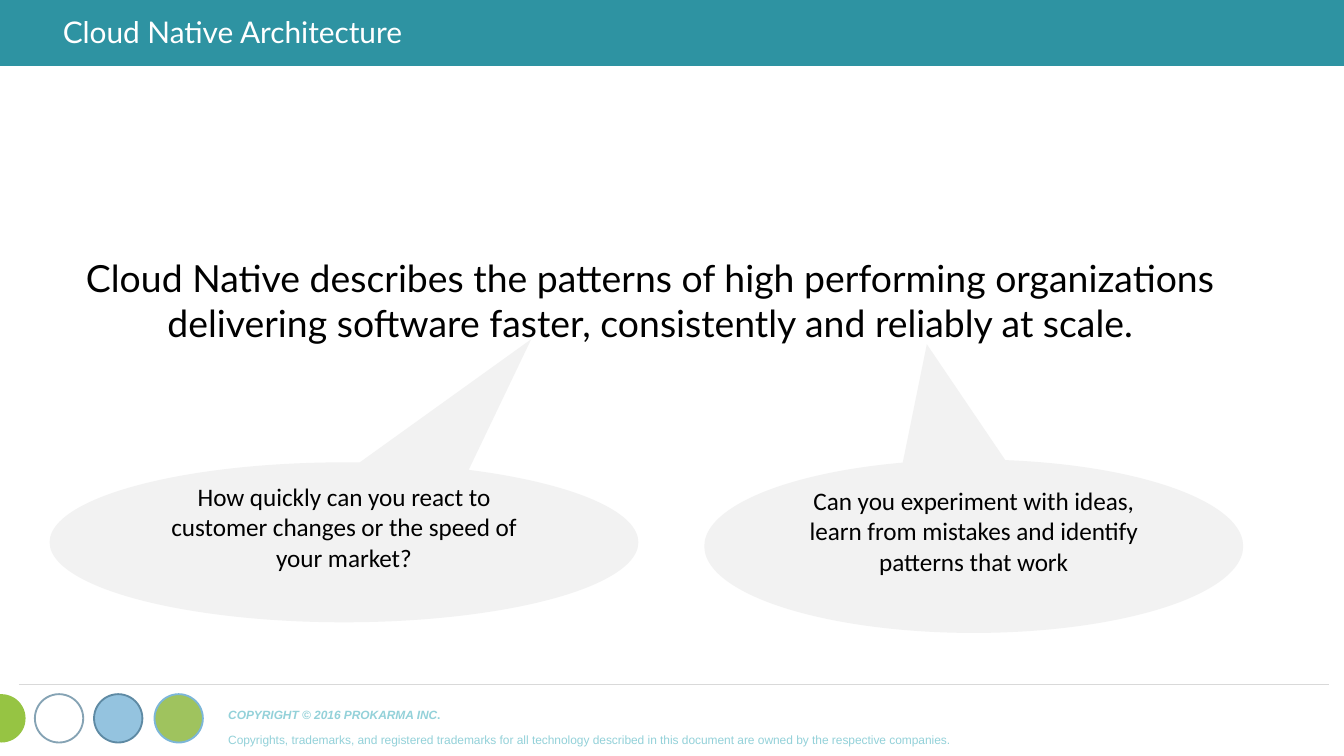
from lxml.etree import SubElement
from pptx import Presentation
from pptx.dml.color import RGBColor
from pptx.enum.shapes import MSO_CONNECTOR, MSO_SHAPE
from pptx.enum.text import MSO_ANCHOR, PP_ALIGN
from pptx.oxml.ns import qn
from pptx.util import Pt

TEAL = RGBColor(0x2E, 0x93, 0xA2)
PALE_TEAL = RGBColor(0x93, 0xD1, 0xD9)
LIME = RGBColor(0x96, 0xC4, 0x43)
GREEN = RGBColor(0x8C, 0xB7, 0x3E)
SKY = RGBColor(0x7C, 0xB6, 0xD8)
STEEL = RGBColor(0x5E, 0x8A, 0xA4)
SLATE = RGBColor(0x58, 0x81, 0x99)
RULE = RGBColor(0xD9, 0xD9, 0xD9)
GREY = RGBColor(0xF2, 0xF2, 0xF2)
WHITE = RGBColor(0xFF, 0xFF, 0xFF)
BLACK = RGBColor(0, 0, 0)

# Content
TITLE = "Cloud Native Architecture"
STATEMENT = ("Cloud Native describes the patterns of high performing organizations "
             "delivering software faster, consistently and reliably at scale.")
# text, box, pointer position relative to the callout
CALLOUTS = [
    ("Can you experiment with ideas, learn from mistakes and identify patterns that work",
     (377.3, 246.2, 288.7, 92.9), (-0.087, -1.165)),
    ("How quickly can you react to customer changes or the speed of your market?",
     (26.6, 247.7, 315.4, 85.7), (0.318, -1.27)),
]
# text, bold, italic
FOOTER = [
    ("COPYRIGHT © 2016 PROKARMA INC", True, True),
    (".", True, False),
    ("\v", True, False),
    ("Copyrights, trademarks, and registered trademarks for all technology described "
     "in this document are owned by the respective companies.", False, False),
]
# left, fill, fill opacity in percent, line, line opacity in percent
DOTS = [
    (-12.2, LIME, 100, None, 100),
    (18.7, None, 100, SLATE, 72),
    (82.8, GREEN, 83, SKY, 100),
    (50.4, SKY, 81, STEEL, 100),
]
DOT_TOP, DOT_SIZE = 371.9, 25.9

prs = Presentation()
prs.slide_width, prs.slide_height = Pt(720), Pt(405)
s = prs.slides.add_slide(prs.slide_layouts[6])


def set_opacity(fill, percent):
    if percent < 100:
        color = fill._xPr.find(qn("a:solidFill"))[0]
        SubElement(color, qn("a:alpha")).set("val", str(percent * 1000))


def add_shape(kind, box, fill, opacity=100):
    sp = s.shapes.add_shape(kind, *map(Pt, box))
    sp.shadow.inherit = False
    sp.line.fill.background()
    if fill is None:
        sp.fill.background()
    else:
        sp.fill.solid()
        sp.fill.fore_color.rgb = fill
        set_opacity(sp.fill, opacity)
    return sp


def write(sp, text, size, font, color, align=PP_ALIGN.LEFT):
    tf = sp.text_frame
    tf.word_wrap = True
    tf.text = text
    p = tf.paragraphs[0]
    p.alignment = align
    for r in p.runs:
        r.font.size, r.font.name = Pt(size), font
        r.font.color.rgb = color
    return tf


def add_text(box, *style):
    return write(s.shapes.add_textbox(*map(Pt, box)), *style)


# Header band
add_shape(MSO_SHAPE.RECTANGLE, (-1.4, 0, 725, 35.3), TEAL)

# Footer rule, dots and copyright
rule = s.shapes.add_connector(MSO_CONNECTOR.STRAIGHT, Pt(10.1), Pt(366.5), Pt(712.1), Pt(366.5))
rule.line.color.rgb = RULE
rule.line.width = Pt(0.5)
SubElement(rule._element.spPr, qn("a:effectLst"))

for left, fill, fill_opacity, line, line_opacity in DOTS:
    dot = add_shape(MSO_SHAPE.OVAL, (left, DOT_TOP, DOT_SIZE, DOT_SIZE), fill, fill_opacity)
    if line is not None:
        dot.line.color.rgb = line
        dot.line.width = Pt(1)
        set_opacity(dot.line.fill, line_opacity)

tf = s.shapes.add_textbox(Pt(115.2), Pt(374.4), Pt(542.9), Pt(25.2)).text_frame
tf.word_wrap = True
p = tf.paragraphs[0]
for text, bold, italic in FOOTER:
    if text == "\v":
        p.add_line_break()
        continue
    r = p.add_run()
    r.text = text
    r.font.size, r.font.name = Pt(11), "Arial"
    r.font.bold, r.font.italic = bold, italic
    r.font.color.rgb = PALE_TEAL
    r._r.get_or_add_rPr().set("baseline", "30000")

# Title and statement
tf = add_text((26.6, 5.8, 620.6, 25.2), TITLE, 16, "Lato", WHITE)
tf.paragraphs[0].line_spacing = 0.9
tf = add_text((26.6, 50.4, 643.7, 314.6), STATEMENT, 20, "Lato", BLACK, PP_ALIGN.CENTER)
tf.margin_top = Pt(86.5)

# Callouts, with their text set above the middle
for text, box, pointer in CALLOUTS:
    sp = add_shape(MSO_SHAPE.OVAL_CALLOUT, box, GREY)
    sp.adjustments[0], sp.adjustments[1] = pointer
    tf = write(sp, text, 13.5, "Calibri", BLACK, PP_ALIGN.CENTER)
    tf.vertical_anchor = MSO_ANCHOR.MIDDLE
    tf.margin_bottom = Pt(20)

prs.save("out.pptx")
